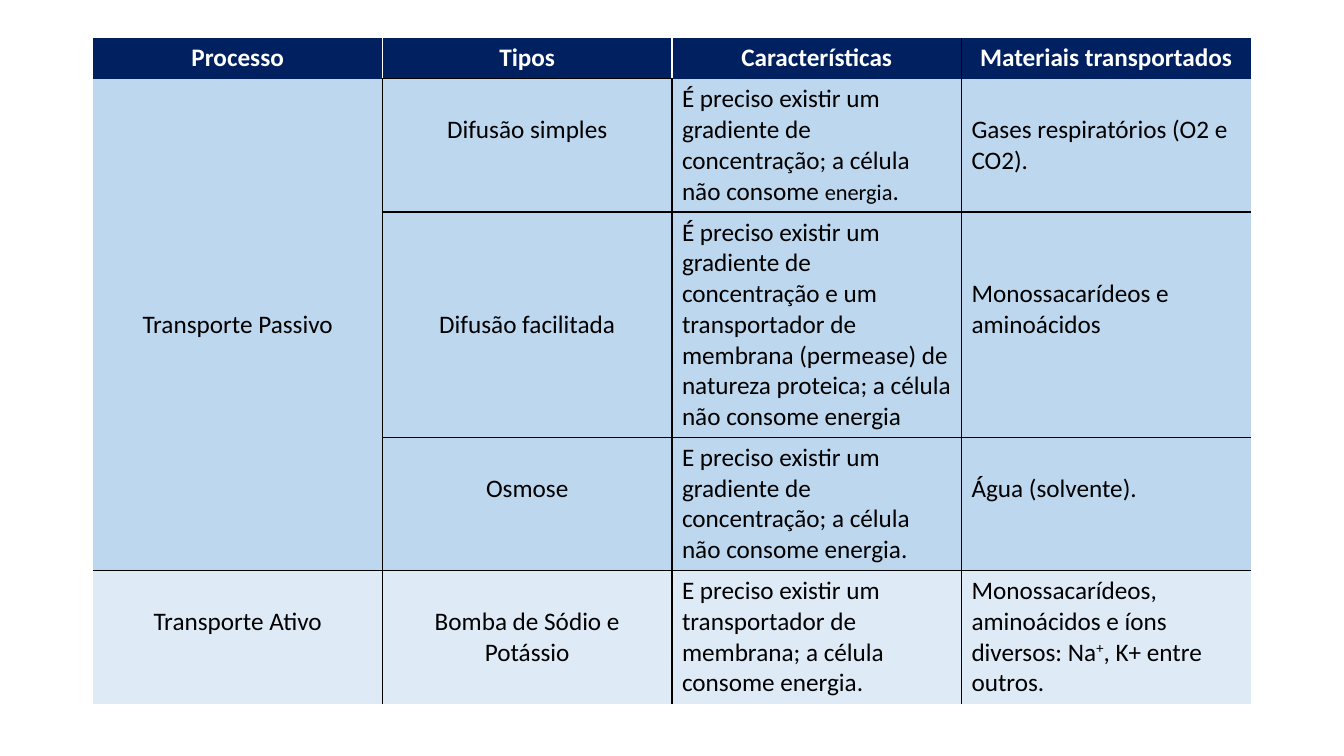
import pptx
import pptx.dml.color
import pptx.enum.text
import pptx.oxml
import pptx.oxml.ns
import pptx.util

Pt = pptx.util.Pt
Align = pptx.enum.text.PP_ALIGN
Anchor = pptx.enum.text.MSO_ANCHOR
NAVY = pptx.dml.color.RGBColor(0x00, 0x20, 0x60)
SKY = pptx.dml.color.RGBColor(0xBD, 0xD7, 0xEE)
PALE = pptx.dml.color.RGBColor(0xDE, 0xEB, 0xF7)
WHITE = pptx.dml.color.RGBColor(0xFF, 0xFF, 0xFF)
BLACK = pptx.dml.color.RGBColor(0x00, 0x00, 0x00)

LINE_HEIGHT = 22
CELL_MARGIN = 3.6
ROW_HEIGHTS = [28.8, 95.2, 160.8, 95.2, 95.2]
ROW_FILLS = [NAVY, SKY, SKY, SKY, PALE]
HEADINGS = ["Processo", "Tipos", "Características", "Materiais transportados"]
ROWS = [
    ["", "Difusão simples",
     [("É preciso existir um gradiente de concentração; a célula não consome ", {}),
      ("energia", {"size": 16}), (".", {})],
     "Gases respiratórios (O2 e CO2)."],
    ["Transporte Passivo", "Difusão facilitada",
     "É preciso existir um gradiente de concentração e um transportador de membrana "
     "(permease) de natureza proteica; a célula não consome energia",
     "Monossacarídeos e aminoácidos"],
    ["", "Osmose",
     "E preciso existir um gradiente de concentração; a célula não consome energia.",
     "Água (solvente)."],
    ["Transporte Ativo", "Bomba de Sódio e Potássio",
     "E preciso existir um transportador de membrana; a célula consome energia.",
     [("Monossacarídeos, aminoácidos e íons diversos: Na", {}),
      ("+", {"baseline": 30000}), (", K+ entre outros.", {})]],
]
LINES_ABOVE = [[0, 1, 0, 1], [3, 3, 0, 2], [0, 1, 0, 1], [1, 1, 0, 0]]


def write_text(cell, text, color=BLACK, bold=False, align=Align.LEFT,
               anchor=Anchor.TOP, lines_above=0):
    """Write a string or a list of formatted spans into a cell."""
    cell.vertical_anchor = anchor
    cell.margin_top = Pt(CELL_MARGIN + lines_above * LINE_HEIGHT)
    cell.margin_bottom = Pt(CELL_MARGIN)
    para = cell.text_frame.paragraphs[0]
    para.alignment = align
    para.font.size = Pt(18)
    spans = [(text, {})] if isinstance(text, str) else text
    for words, style in spans:
        if not words:
            continue
        span = para.add_run()
        span.text = words
        span.font.name = "Calibri"
        span.font.size = Pt(style.get("size", 18))
        span.font.bold = bold
        span.font.color.rgb = color
        if "baseline" in style:
            span.font._element.set("baseline", str(style["baseline"]))


def set_borders(cell, left=None, right=None, top=None, bottom=None):
    """Draw one-point borders in the given colours and clear the other sides."""
    properties = cell._tc.get_or_add_tcPr()
    sides = [("lnL", left), ("lnR", right), ("lnT", top), ("lnB", bottom)]
    for position, (tag, color) in enumerate(sides):
        paint = (f'<a:solidFill><a:srgbClr val="{color}"/></a:solidFill>'
                 if color is not None else "<a:noFill/>")
        line = pptx.oxml.parse_xml(
            f'<a:{tag} {pptx.oxml.ns.nsdecls("a")} w="12700">{paint}</a:{tag}>')
        properties.insert(position, line)


def vertical_border(row, edge):
    """Return the colour of the vertical rule at a column edge."""
    if edge in (0, len(HEADINGS)):
        return None
    return WHITE if row == 0 and edge < 3 else BLACK


def horizontal_border(edge, column):
    """Return the colour of the horizontal rule at a row edge."""
    if edge == 4 or (edge in (2, 3) and column > 0) or (edge, column) == (1, 1):
        return BLACK
    return None


def add_transport_table(page, box):
    """Place the membrane transport table in the given box."""
    left, top, width, height = box
    count = len(HEADINGS)
    table = page.shapes.add_table(len(ROW_HEIGHTS), count, Pt(left), Pt(top),
                                  Pt(width), Pt(height)).table
    table.horz_banding = False
    for column in table.columns:
        column.width = Pt(width / count)
    for row, row_height in enumerate(ROW_HEIGHTS):
        table.rows[row].height = Pt(row_height)
        for column in range(count):
            cell = table.cell(row, column)
            cell.fill.solid()
            cell.fill.fore_color.rgb = ROW_FILLS[row]
            set_borders(cell,
                        left=vertical_border(row, column),
                        right=vertical_border(row, column + 1),
                        top=horizontal_border(row, column),
                        bottom=horizontal_border(row + 1, column))
            if row == 0:
                write_text(cell, HEADINGS[column], color=WHITE, bold=True,
                           align=Align.CENTER, anchor=Anchor.MIDDLE)
            else:
                write_text(cell, ROWS[row - 1][column],
                           align=Align.CENTER if column < 2 else Align.LEFT,
                           lines_above=LINES_ABOVE[row - 1][column])


def main():
    """Build the deck and save it."""
    deck = pptx.Presentation()
    deck.slide_width = Pt(960)
    deck.slide_height = Pt(540)
    page = deck.slides.add_slide(deck.slide_layouts[6])
    add_transport_table(page, (66.4, 27, 827.2, sum(ROW_HEIGHTS)))
    deck.save("out.pptx")


if __name__ == "__main__":
    main()
